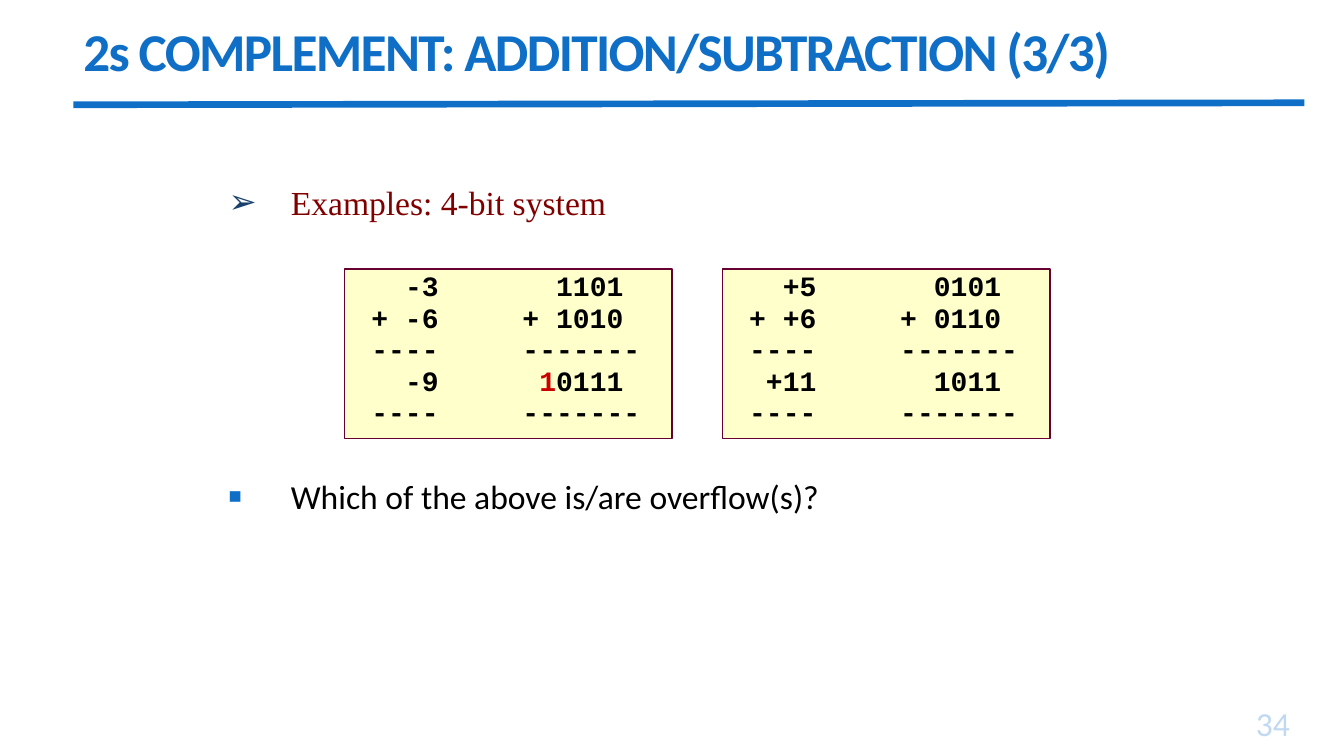
from lxml import etree
from pptx import Presentation
from pptx.dml.color import RGBColor
from pptx.enum.shapes import MSO_CONNECTOR as Connector, MSO_SHAPE as Shape
from pptx.enum.text import MSO_ANCHOR as Anchor, PP_ALIGN as Align
from pptx.oxml.ns import qn
from pptx.util import Cm, Pt

COLORS = {
    "blue": "0F6FC6", "navy": "17406D", "maroon": "800000", "black": "000000",
    "red": "CC0000", "cream": "FFFFCC", "plum": "660033",
}
CHAR_WIDTH = Pt(12)
SUMS = [
    [["\t-3\t1101"], ["\t+ -6\t+ 1010"], ["\t----\t-------"],
     ["\t-9\t", ("1", "red"), "0111"], ["\t----\t-------"]],
    [["\t+5\t0101"], ["\t+ +6\t+ 0110"], ["\t----\t-------"],
     ["\t+11\t1011"], ["\t----\t-------"]],
]


def rgb(name):
    """Return the named colour."""
    return RGBColor.from_string(COLORS[name])


def add_child(parent, tag, **attributes):
    """Append an XML child with the given attributes."""
    child = etree.SubElement(parent, qn(tag))
    for key, value in attributes.items():
        child.set(key, str(value))
    return child


def write(para, text, *, font="Calibri", size=24, color="black", bold=False,
          tracking=None, alpha=None):
    """Add one formatted run to a paragraph."""
    span = para.add_run()
    span.text = text
    span.font.name, span.font.size, span.font.bold = font, Pt(size), bold
    span.font.color.rgb = rgb(color)
    if tracking is not None:
        span.font._element.set("spc", str(tracking))
    if alpha is not None:
        fill_color = span.font._element.find(".//" + qn("a:srgbClr"))
        add_child(fill_color, "a:alpha", val=alpha * 1000)


def space_before(para, percent):
    """Set paragraph spacing as a share of the line."""
    spacing = add_child(para._p.get_or_add_pPr(), "a:spcBef")
    add_child(spacing, "a:spcPct", val=percent * 1000)


def add_box(page, left, top, width, height, anchor=Anchor.TOP):
    """Add a wrapping text box and return its first paragraph."""
    box = page.shapes.add_textbox(Cm(left), Cm(top), Cm(width), Cm(height))
    box.text_frame.word_wrap = True
    box.text_frame.vertical_anchor = anchor
    return box.text_frame.paragraphs[0]


def add_bullet(para, mark, color, size=100):
    """Give a paragraph a hanging bullet."""
    props = para._p.get_or_add_pPr()
    props.set("marL", str(Cm(1.57)))
    props.set("indent", str(-Cm(1.57)))
    add_child(add_child(props, "a:buClr"), "a:srgbClr", val=COLORS[color])
    add_child(props, "a:buSzPct", val=size * 1000)
    add_child(props, "a:buFont", typeface="Arial")
    add_child(props, "a:buChar", char=mark)


def add_rule(page):
    """Draw the line under the title."""
    rule = page.shapes.add_connector(
        Connector.STRAIGHT, Cm(1.85), Cm(2.64), Cm(32.87), Cm(2.59))
    rule.line.color.rgb = rgb("blue")
    rule.line.width = Pt(4.75)
    add_child(rule._element.spPr, "a:effectLst")


def add_sum(page, left, rows):
    """Draw one worked sum with right-aligned columns."""
    box = page.shapes.add_shape(
        Shape.RECTANGLE, Cm(left), Cm(6.78), Cm(8.25), Cm(4.27))
    box.shadow.inherit = False
    box.fill.solid()
    box.fill.fore_color.rgb = rgb("cream")
    box.line.color.rgb = rgb("plum")
    box.line.width = Pt(1)
    frame = box.text_frame
    frame.word_wrap = True
    frame.vertical_anchor = Anchor.TOP
    for index, row in enumerate(rows):
        para = frame.add_paragraph() if index else frame.paragraphs[0]
        para.alignment = Align.LEFT
        para.line_spacing = 0.85
        space_before(para, 10)
        stops = add_child(para._p.get_or_add_pPr(), "a:tabLst")
        for column in (5, 17 if row[0].endswith("--") else 16):
            add_child(stops, "a:tab", pos=column * CHAR_WIDTH, algn="r")
        for part in row:
            text, color = (part, "black") if isinstance(part, str) else part
            write(para, text, font="Courier New", size=20, color=color, bold=True)


def main():
    """Build and save the slide."""
    deck = Presentation()
    deck.slide_width, deck.slide_height = Cm(33.87), Cm(19.05)
    page = deck.slides.add_slide(deck.slide_layouts[6])
    add_rule(page)

    number = add_box(page, 29.46, 17.78, 3.3, 1.07, Anchor.BOTTOM)
    number.alignment = Align.RIGHT
    write(number, "34", color="blue", alpha=25)

    title = add_box(page, 1.85, 0.2, 29.92, 2.39, Anchor.MIDDLE)
    title.line_spacing = 0.85
    write(title, "2s COMPLEMENT: ADDITION/SUBTRACTION (3/3)",
          size=38, color="blue", bold=True, tracking=-120)

    examples = add_box(page, 5.51, 4.45, 22.86, 1.47)
    examples.space_before = Pt(10)
    add_bullet(examples, "➢", "navy")
    write(examples, "Examples: 4-bit system", font="Times New Roman", color="maroon")

    question = add_box(page, 5.51, 11.86, 22.86, 1.9)
    space_before(question, 20)
    add_bullet(question, "■", "blue", size=65)
    write(question, "Which of the above is/are overflow(s)?")

    for index, rows in enumerate(SUMS):
        add_sum(page, 8.69 + 9.52 * index, rows)
    deck.save("out.pptx")


if __name__ == "__main__":
    main()
